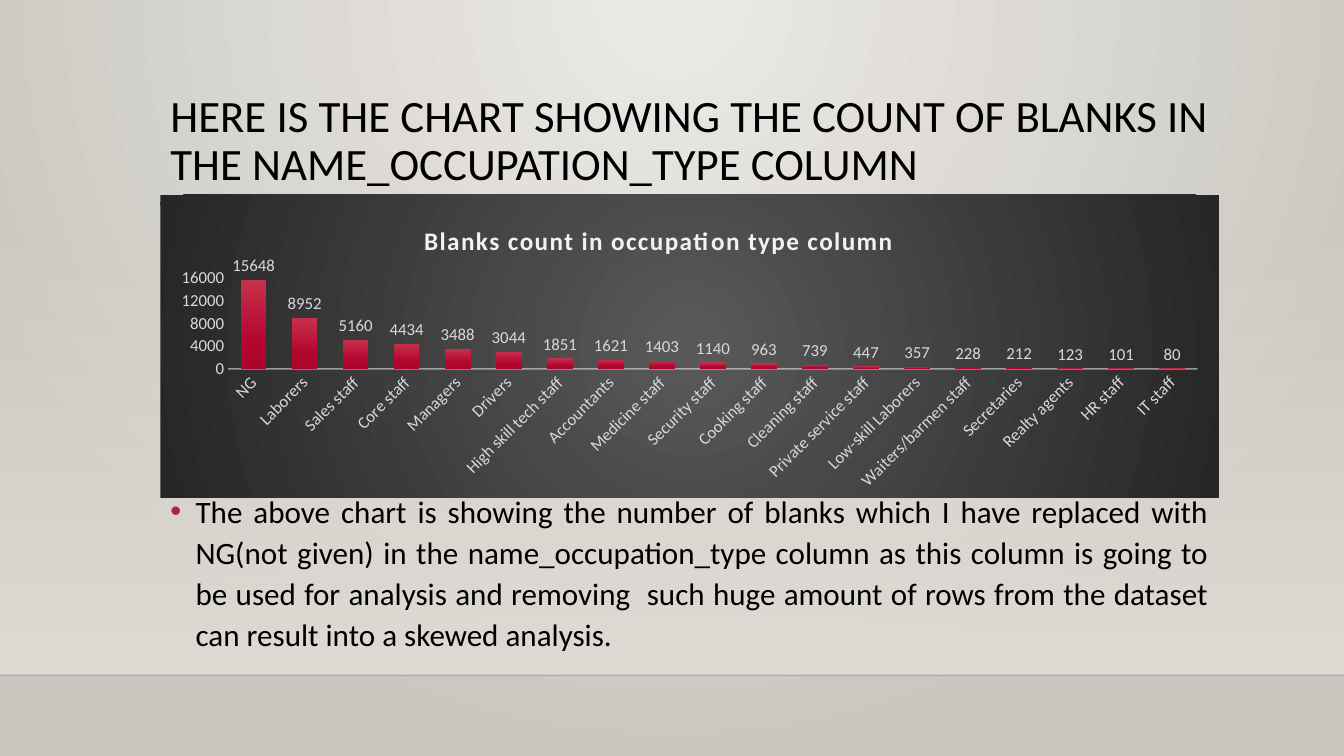
import lxml.etree
import pptx
import pptx.chart.data
import pptx.dml.color
import pptx.dml.fill
import pptx.enum.chart
import pptx.enum.shapes
import pptx.enum.text
import pptx.oxml
import pptx.oxml.ns
import pptx.util

# Content
TITLE = "HERE IS THE CHART SHOWING THE COUNT OF BLANKS IN THE NAME_OCCUPATION_TYPE COLUMN"
BODY = ("The above chart is showing the number of blanks which I have replaced with "
        "NG(not given) in the name_occupation_type column as this column is going to be "
        "used for analysis and removing  such huge amount of rows from the dataset can "
        "result into a skewed analysis.")
CHART_TITLE = "Blanks count in occupation type column"
BLANKS = [
    ("NG", 15648), ("Laborers", 8952), ("Sales staff", 5160), ("Core staff", 4434),
    ("Managers", 3488), ("Drivers", 3044), ("High skill tech staff", 1851),
    ("Accountants", 1621), ("Medicine staff", 1403), ("Security staff", 1140),
    ("Cooking staff", 963), ("Cleaning staff", 739), ("Private service staff", 447),
    ("Low-skill Laborers", 357), ("Waiters/barmen staff", 228), ("Secretaries", 212),
    ("Realty agents", 123), ("HR staff", 101), ("IT staff", 80),
]

# Layout in inches
W, H = 13.33, 7.5
LEFT, WIDTH = 1.59, 10.5
CHART_TOP, CHART_H = 1.93, 3.01
FLOOR = 6.7
FONT, RED, BLACK, PALE = "Calibri", "B71E42", "000000", "D9D9D9"

Inches, Pt = pptx.util.Inches, pptx.util.Pt
qn = pptx.oxml.ns.qn


def rgb(color):
    return pptx.dml.color.RGBColor.from_string(color)


def add(parent, tag, **attrs):
    return lxml.etree.SubElement(parent, qn(tag), {k: str(v) for k, v in attrs.items()})


def set_alpha(parent, percent):
    add(next(parent.iter(qn("a:srgbClr"))), "a:alpha", val=percent * 1000)


def set_gradient(parent, stops, center=None):
    """Stops are (position, colour, opacity); vertical unless a center rect is given."""
    pptx.dml.fill.FillFormat.from_fill_parent(parent).gradient()
    grad = parent.find(qn("a:gradFill"))
    for child in list(grad):
        grad.remove(child)
    stop_list = add(grad, "a:gsLst")
    for pos, color, opacity in stops:
        gs = add(stop_list, "a:gs", pos=pos * 1000)
        add(gs, "a:srgbClr", val=color)
        if opacity < 100:
            set_alpha(gs, opacity)
    if center:
        shade = add(grad, "a:path", path="circle")
        add(shade, "a:fillToRect", **{k: v * 1000 for k, v in zip("ltrb", center)})
    else:
        add(grad, "a:lin", ang=5400000, scaled=0)


def style(font, size, color, bold=False):
    font.name, font.size, font.bold = FONT, Pt(size), bold
    font.color.rgb = rgb(color)


def add_rule(x1, x2, y, color, width):
    line = s.shapes.add_connector(pptx.enum.shapes.MSO_CONNECTOR.STRAIGHT,
                                  Inches(x1), Inches(y), Inches(x2), Inches(y))
    line.line.color.rgb = rgb(color)
    line.line.width = Pt(width)
    add(line.element.spPr, "a:effectLst")
    return line


def fill_placeholder(ph, top, height, text, size, spacing):
    ph.left, ph.top, ph.width, ph.height = map(Inches, (LEFT, top, WIDTH, height))
    tf = ph.text_frame
    tf.word_wrap = True
    tf.auto_size = pptx.enum.text.MSO_AUTO_SIZE.NONE
    tf.vertical_anchor = pptx.enum.text.MSO_ANCHOR.TOP
    p = tf.paragraphs[0]
    p.alignment = pptx.enum.text.PP_ALIGN.JUSTIFY
    p.line_spacing, p.space_before = spacing, Pt(0)
    r = p.add_run()
    r.text = text
    style(r.font, size, BLACK)
    s.shapes.element.append(ph.element)
    return p


def set_layout(parent, index, **shares):
    for old in parent.findall(qn("c:layout")):
        parent.remove(old)
    layout = pptx.oxml.parse_xml("<c:layout %s/>" % pptx.oxml.ns.nsdecls("c"))
    parent.insert(index, layout)
    manual = add(layout, "c:manualLayout")
    if "w" in shares:
        add(manual, "c:layoutTarget", val="inner")
    for key in "xy":
        add(manual, "c:%sMode" % key, val="edge")
    for key, share in shares.items():
        add(manual, "c:" + key, val=share)


prs = pptx.Presentation()
prs.slide_width, prs.slide_height = Inches(W), Inches(H)
s = prs.slides.add_slide(prs.slide_layouts[1])

# Backdrop
s.background.fill.solid()
set_gradient(next(s.element.iter(qn("p:bgPr"))),
             [(0, "ECEAE7", 100), (100, "CAC7C1", 100)], (43, 0, 43, 100))
wall = s.shapes.add_shape(pptx.enum.shapes.MSO_SHAPE.RECTANGLE, 0, Inches(2.21),
                          Inches(W), Inches(FLOOR - 2.21))
wall.shadow.inherit = False
wall.line.fill.background()
set_gradient(wall.element.spPr, [(0, "DFDBD5", 0), (100, "DFDBD5", 100)])
floor_line = add_rule(0, W, FLOOR, "000001", 1)
set_alpha(floor_line.element.spPr, 20)
add_rule(LEFT, LEFT + WIDTH, 2.02, RED, 2.5)

# Title and bullet
title, body = s.shapes.title, s.placeholders[1]
fill_placeholder(title, 0.88, 1.15, TITLE, 32, 0.9)
p = fill_placeholder(body, 4.8, 1.82, BODY, 22.2, 1.1)
pPr = p._p.get_or_add_pPr()
pPr.set("marL", str(Inches(0.25)))
pPr.set("indent", str(Inches(-0.25)))
add(add(pPr, "a:buClr"), "a:srgbClr", val=RED)
add(pPr, "a:buFont", typeface="Arial")
add(pPr, "a:buChar", char="•")

# Chart
data = pptx.chart.data.CategoryChartData()
data.categories = [name for name, count in BLANKS]
data.add_series("Series 1", [count for name, count in BLANKS])
chart = s.shapes.add_chart(pptx.enum.chart.XL_CHART_TYPE.COLUMN_CLUSTERED, Inches(LEFT),
                           Inches(CHART_TOP), Inches(WIDTH), Inches(CHART_H), data).chart
style(chart.font, 10, BLACK)
chart.has_legend = False
chart.has_title = True
r = chart.chart_title.text_frame.paragraphs[0].add_run()
r.text = CHART_TITLE
style(r.font, 18, "F2F2F2", True)
r.font._element.set("spc", "100")
set_layout(next(chart.element.iter(qn("c:title"))), 1, x=0.245, y=0.08)
set_layout(next(chart.element.iter(qn("c:plotArea"))), 0, x=0.064, y=0.275, w=0.916, h=0.3)

area = pptx.oxml.parse_xml("<c:spPr %s/>" % pptx.oxml.ns.nsdecls("c", "a"))
chart.element.find(qn("c:chart")).addnext(area)
set_gradient(area, [(0, "595959", 100), (100, "262626", 100)], (50, 50, 50, 50))
add(add(area, "a:ln"), "a:noFill")

# Columns and labels
plot = chart.plots[0]
plot.gap_width, plot.overlap, plot.vary_by_categories = 100, -24, False
set_gradient(plot.series[0]._element.get_or_add_spPr(),
             [(0, "C7304C", 100), (69, "B3062F", 100), (100, "AA062C", 100)])
plot.has_data_labels = True
labels = plot.data_labels
labels.show_value = True
labels.position = pptx.enum.chart.XL_LABEL_POSITION.OUTSIDE_END
style(labels.font, 12, PALE)

# Axes
for axis in (chart.category_axis, chart.value_axis):
    axis.has_major_gridlines = False
    axis.major_tick_mark = axis.minor_tick_mark = pptx.enum.chart.XL_TICK_MARK.NONE
    style(axis.tick_labels.font, 12, PALE)
names, counts = chart.category_axis, chart.value_axis
names.format.line.color.rgb = rgb("F2F2F2")
names.format.line.width = Pt(1)
set_alpha(names._element.find(qn("c:spPr")), 54)
names._element.find(qn("c:txPr")).find(qn("a:bodyPr")).set("rot", "-2700000")
counts.format.line.fill.background()
counts.minimum_scale, counts.maximum_scale, counts.major_unit = 0, 16000, 4000

prs.save("out.pptx")
